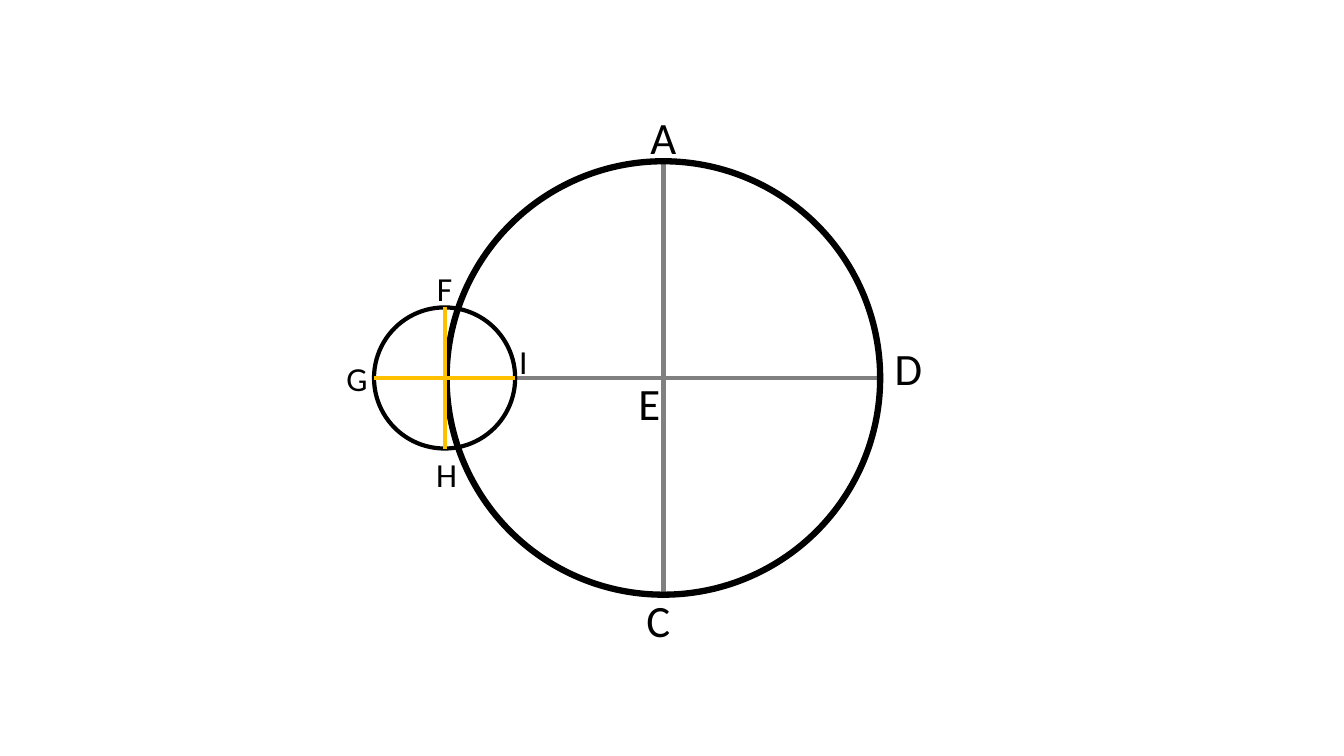
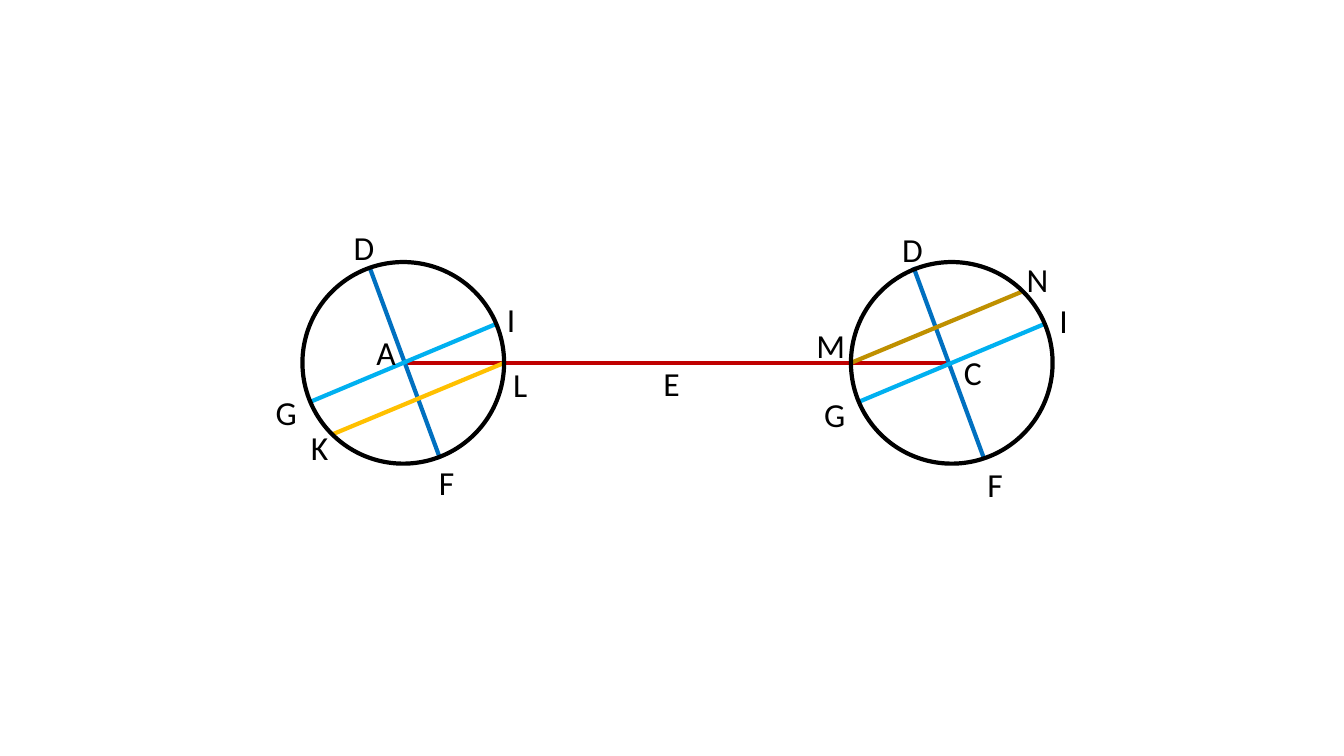
"""Two geometry slides: crossed circles, and two wheels joined by a line."""
from pptx import Presentation, util as u
from pptx.dml.color import RGBColor
from pptx.enum import shapes, text
from pptx.oxml.ns import qn

BLACK = RGBColor(0x00, 0x00, 0x00)
GREY = RGBColor(0x80, 0x80, 0x80)
GOLD = RGBColor(0xFF, 0xC0, 0x00)
OCHRE = RGBColor(0xBF, 0x90, 0x00)
RED = RGBColor(0xC0, 0x00, 0x00)
BLUE = RGBColor(0x00, 0x70, 0xC0)
SKY = RGBColor(0x00, 0xB0, 0xF0)


class Drawing:
    """Draws on the current slide; lengths are cells of a tenth of an inch."""

    cell = u.Inches(0.1)
    font = "Calibri"
    stroke = 3
    small, large = 24, 32
    label_width = 5.6

    def __init__(self):
        self.deck = Presentation()
        self.deck.slide_width = u.Inches(13.33)
        self.deck.slide_height = u.Inches(7.5)
        self.slide = None

    def new_slide(self):
        self.slide = self.deck.slides.add_slide(self.deck.slide_layouts[6])

    def grid(self, *cells):
        return [round(value * self.cell) for value in cells]

    def line(self, start, end, color):
        line = self.slide.shapes.add_connector(
            shapes.MSO_CONNECTOR.STRAIGHT, *self.grid(*start, *end))
        line.line.color.rgb = color
        line.line.width = u.Pt(self.stroke)
        properties = line._element.spPr
        properties.append(properties.makeelement(qn("a:effectLst"), {}))

    def diameter(self, center, dx, dy, color):
        x, y = center
        self.line((x - dx, y - dy), (x + dx, y + dy), color)

    def cross(self, center, radius, color):
        self.diameter(center, 0, radius, color)
        self.diameter(center, radius, 0, color)

    def circle(self, center, radius, stroke=stroke):
        x, y = center
        circle = self.slide.shapes.add_shape(
            shapes.MSO_SHAPE.OVAL,
            *self.grid(x - radius, y - radius, 2 * radius, 2 * radius))
        circle.shadow.inherit = False
        circle.fill.background()
        circle.line.color.rgb = BLACK
        circle.line.width = u.Pt(stroke)

    def label(self, letter, x, y, size=small):
        height = 6.4 if size == self.large else 5
        frame = self.slide.shapes.add_textbox(*self.grid(
            x - self.label_width / 2, y - height / 2,
            self.label_width, height)).text_frame
        frame.word_wrap = True
        frame.auto_size = text.MSO_AUTO_SIZE.SHAPE_TO_FIT_TEXT
        paragraph = frame.paragraphs[0]
        paragraph.text = letter
        paragraph.alignment = text.PP_ALIGN.CENTER
        paragraph.font.name = self.font
        paragraph.font.size = u.Pt(size)
        paragraph.font.color.rgb = BLACK

    def labels(self, places, size=small):
        for letter, x, y in places:
            self.label(letter, x, y, size)


def crossed_circles(drawing):
    drawing.new_slide()
    main_center, main_radius = (65.8, 37.5), 21.5
    side_center, side_radius = (44.1, 37.5), 7
    drawing.cross(main_center, main_radius, GREY)
    drawing.circle(main_center, main_radius, stroke=4.5)
    drawing.circle(side_center, side_radius)
    drawing.cross(side_center, side_radius, GOLD)
    drawing.labels([("A", 65.8, 13.6), ("C", 65.3, 61.5),
                    ("D", 90.1, 36.5), ("E", 64.4, 40)], drawing.large)
    drawing.labels([("G", 35.4, 37.5), ("I", 51.9, 35.8),
                    ("F", 44.1, 28.6), ("H", 44.3, 47)])


def joined_wheels(drawing):
    drawing.new_slide()
    left_hub, right_hub, axis = 40, 94.4, 36
    radius = 10
    drawing.line((left_hub, axis), (right_hub, axis), RED)
    chord_dx, chord_dy = 17.05, 7.1
    left_rim, right_rim = left_hub + radius, right_hub - radius
    wheels = [
        (left_hub, 40.15, (left_rim - chord_dx, axis + chord_dy),
         (left_rim, axis), GOLD),
        (right_hub, 94.1, (right_rim, axis),
         (right_rim + chord_dx, axis - chord_dy), OCHRE),
    ]
    for hub, spoke, chord_start, chord_end, chord_color in wheels:
        drawing.diameter((spoke, axis), 3.5, 9.5, BLUE)
        drawing.diameter((hub, axis), 9.3, -3.9, SKY)
        drawing.line(chord_start, chord_end, chord_color)
        drawing.circle((hub, axis), radius)
    drawing.labels([
        ("D", 36.1, 24.5), ("I", 50.7, 31.7), ("A", 38.3, 34.9),
        ("G", 28.4, 40.9), ("K", 31.7, 44.4), ("F", 44.3, 47.8),
        ("L", 51.6, 38.1), ("E", 66.6, 38),
        ("D", 90.5, 24.7), ("N", 102.9, 27.7), ("I", 105.5, 31.8),
        ("M", 82.4, 34.2), ("C", 96.5, 36.9), ("G", 82.8, 41.1),
        ("F", 98.7, 48),
    ])


def main():
    drawing = Drawing()
    crossed_circles(drawing)
    joined_wheels(drawing)
    drawing.deck.save("out.pptx")


if __name__ == "__main__":
    main()
